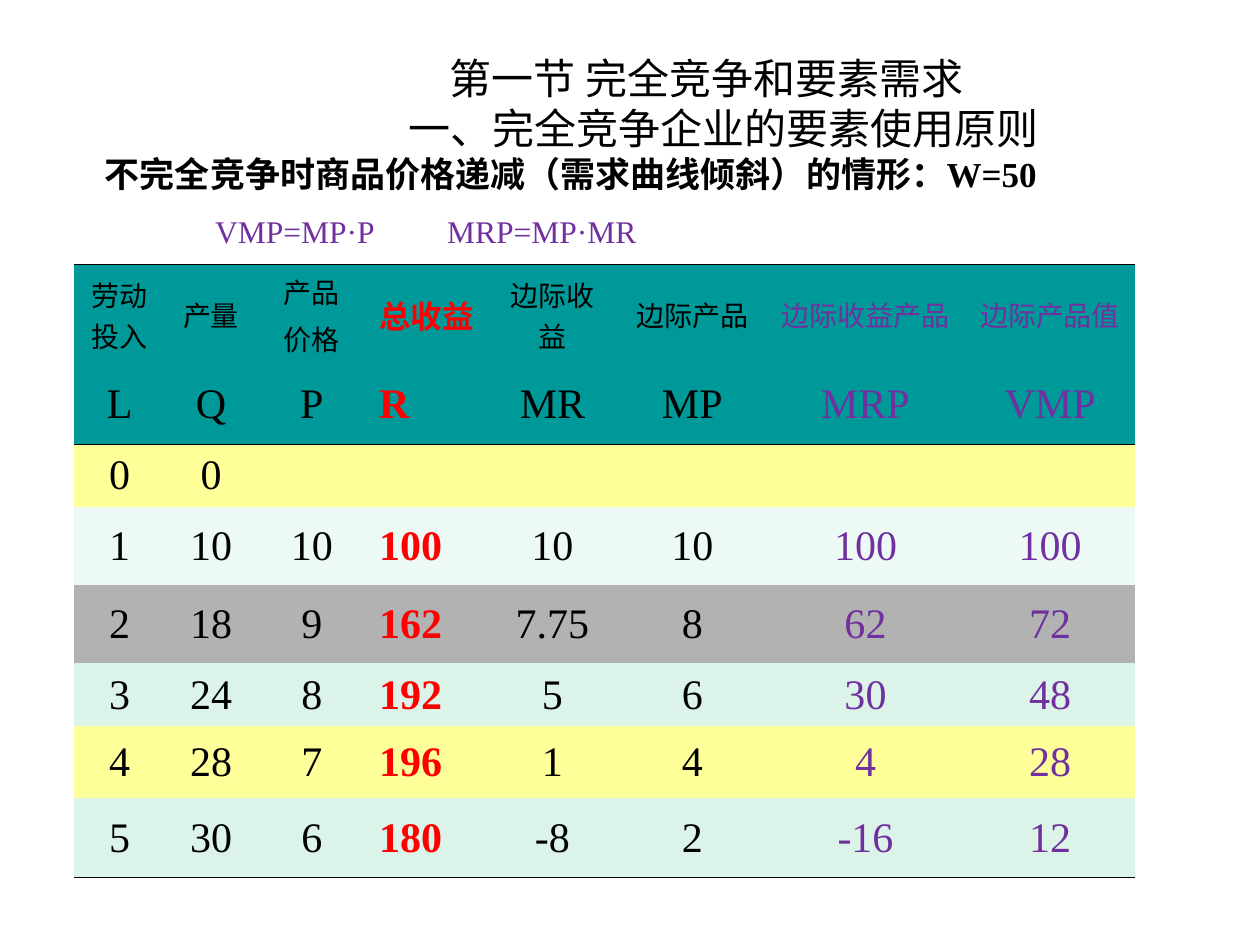
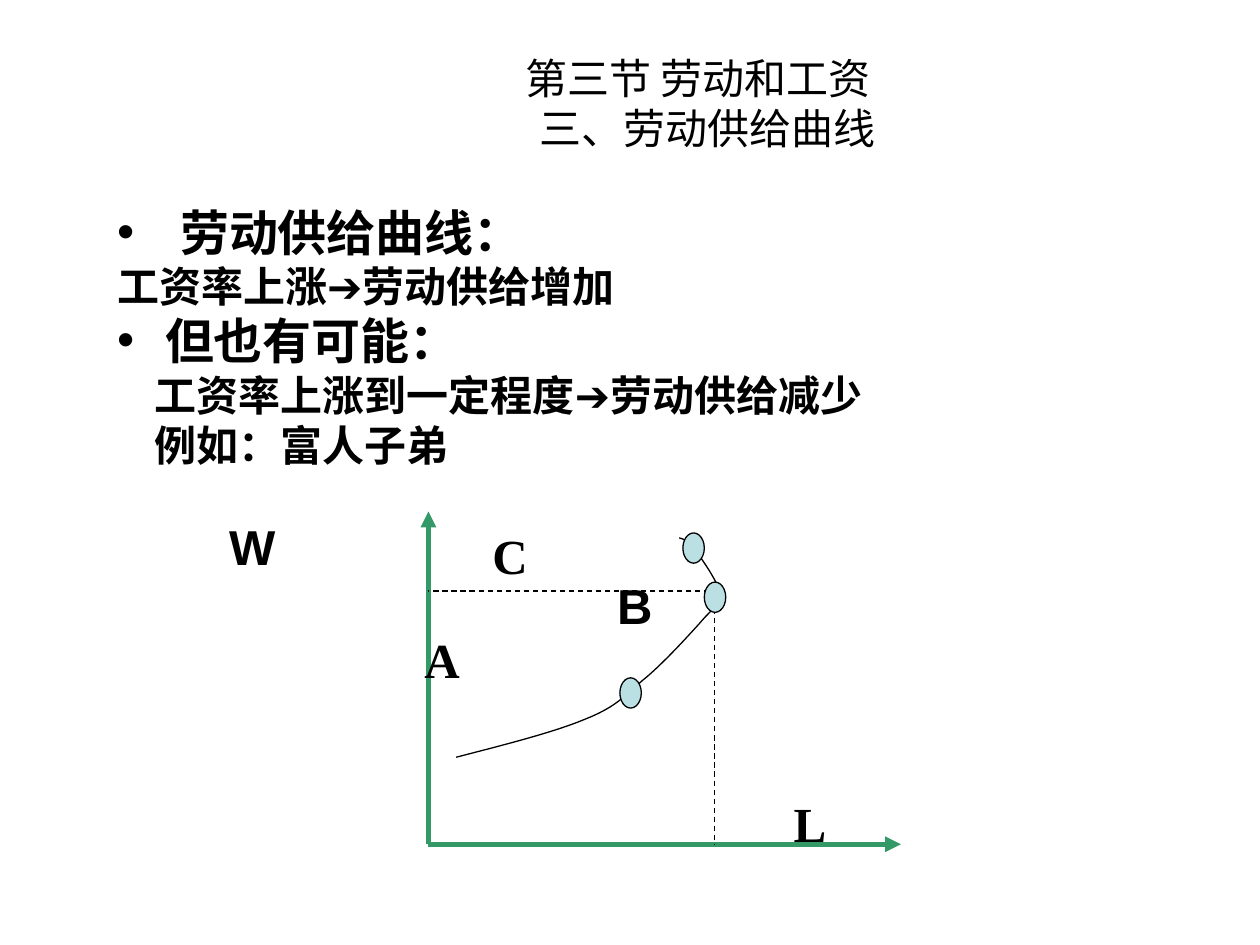
from lxml import etree
from pptx import Presentation
from pptx import util as u
from pptx.dml.color import RGBColor
from pptx.enum import dml, shapes, text
from pptx.oxml.ns import qn

COLUMNS, ROWS = 100, 75
CELL = u.Inches(10) // COLUMNS

BLACK = RGBColor(0x00, 0x00, 0x00)
RED = RGBColor(0xFF, 0x00, 0x00)
PURPLE = RGBColor(0x70, 0x30, 0xA0)
TEAL = RGBColor(0x00, 0x99, 0x99)
YELLOW = RGBColor(0xFF, 0xFF, 0x99)
PALE_MINT = RGBColor(0xED, 0xF9, 0xF4)
MINT = RGBColor(0xDC, 0xF3, 0xE9)
GRAY = RGBColor(0xB2, 0xB2, 0xB2)
GREEN = RGBColor(0x33, 0x99, 0x66)
LIGHT_BLUE = RGBColor(0xBB, 0xE0, 0xE3)

SANS, SERIF, CHINESE = "Arial", "Times New Roman", "Noto Sans CJK SC"
PLAIN_TABLE = "{2D5ABB26-0587-4C30-8999-92F81FD0307C}"
LEFT, CENTER = text.PP_ALIGN.LEFT, text.PP_ALIGN.CENTER

REVENUE_COLUMN = 3
COLUMN_WIDTHS = (7.2, 7.3, 8.7, 9.5, 10.5, 11.7, 15.8, 13.5)
COLUMN_COLORS = [BLACK] * 3 + [RED] + [BLACK] * 2 + [PURPLE] * 2
ROW_HEIGHTS = (6.9, 6.3, 5, 6.2, 6.2, 5, 5.7, 6.3)
ROW_FILLS = (TEAL, TEAL, YELLOW, PALE_MINT, GRAY, MINT, YELLOW, MINT)
ROW_RULES = {0: ("a:lnT", 0.45), 1: ("a:lnB", 0.45), 7: ("a:lnB", 1.08)}
REVENUE_ROWS = (
    ("劳动投入", "产量", "产品\n价格", "总收益", "边际收益", "边际产品", "边际收益产品", "边际产品值"),
    ("L", "Q", "P", "R", "MR", "MP", "MRP", "VMP"),
    ("0", "0", "", "", "", "", "", ""),
    ("1", "10", "10", "100", "10", "10", "100", "100"),
    ("2", "18", "9", "162", "7.75", "8", "62", "72"),
    ("3", "24", "8", "192", "5", "6", "30", "48"),
    ("4", "28", "7", "196", "1", "4", "4", "28"),
    ("5", "30", "6", "180", "-8", "2", "-16", "12"),
)

SUPPLY_POINTS = (
    ("劳动供给曲线：", 28, 5, True),
    ("工资率上涨➔劳动供给增加", 24, 0, False),
    ("但也有可能：", 28, 3.8, True),
    ("工资率上涨到一定程度➔劳动供给减少", 24, 3, False),
    ("例如：富人子弟", 24, 3, False),
)
SUPPLY_START = (36.2, 60.1)
SUPPLY_BEZIERS = (
    ((40.1, 59.1), (44, 58.1), (46.4, 57.1)),
    ((48.9, 56.1), (49.5, 55.3), (51, 54)),
    ((52.5, 52.8), (54.5, 50.6), (55.5, 49.5)),
    ((56.5, 48.3), (57.1, 48.1), (57.1, 47.1)),
    ((57, 46.1), (55.6, 44.3), (55.1, 43.5)),
    ((54.6, 42.8), (53.9, 42.7), (53.9, 42.7)),
)
CURVE_MARKS = ((49.2, 53.8), (55.9, 46.2), (54.2, 42.3))
CURVE_LABELS = (
    ("W", 17.2, 39.1, SANS), ("L", 62, 61.1, SERIF), ("B", 48, 43.8, SANS),
    ("A", 32.7, 48.1, SERIF), ("C", 38.1, 39.8, SERIF),
)


def grid(*cells):
    """Turn grid cells into slide lengths."""
    return [u.Emu(round(cell * CELL)) for cell in cells]


def place(shape, *cells):
    """Move a shape to left, top, width and height on the grid."""
    shape.left, shape.top, shape.width, shape.height = grid(*cells)


def style_para(para, size, font=SERIF, color=BLACK, bold=False, align=LEFT):
    """Format every run of a paragraph."""
    para.alignment = align
    for span in para.runs:
        span.font.size = u.Pt(size)
        span.font.name = font
        span.font.bold = bold
        span.font.color.rgb = color
        east_asian = etree.SubElement(span.font._element, qn("a:ea"))
        east_asian.set("typeface", CHINESE)


def set_indent(para, cells, bullet=False):
    """Indent a paragraph, hanging its bullet if it has one."""
    props = para._p.get_or_add_pPr()
    margin, = grid(cells)
    props.set("marL", str(margin))
    props.set("indent", str(-margin if bullet else 0))
    if bullet:
        etree.SubElement(props, qn("a:buChar")).set("char", "•")
    else:
        etree.SubElement(props, qn("a:buNone"))


def fill_placeholder(box, items, font, bold):
    """Write (wording, size, indent, bullet) items into a placeholder."""
    frame = box.text_frame
    frame.auto_size = text.MSO_AUTO_SIZE.NONE
    frame.text = "\n".join(item[0] for item in items)
    for para, (_, size, indent, bullet) in zip(frame.paragraphs, items):
        para.space_before = u.Pt(0)
        para.line_spacing = u.Pt(round(size * 1.19, 1))
        style_para(para, size, font, bold=bold)
        set_indent(para, indent, bullet)


def add_page(deck, layout, *title_lines):
    """Add a page with the shared two-line title."""
    page = deck.slides.add_slide(deck.slide_layouts[layout])
    place(page.shapes.title, 5, 3.5, 90, 9.4)
    items = [(line, 24, indent, False) for line, indent in title_lines]
    fill_placeholder(page.shapes.title, items, CHINESE, False)
    return page


def add_label(page, wording, area, size, spacing=1.0, **style):
    """Add a one-line text box."""
    box = page.shapes.add_textbox(*grid(*area))
    box.text_frame.word_wrap = True
    para = box.text_frame.paragraphs[0]
    para.text = wording
    para.line_spacing = spacing
    style_para(para, size, **style)


def add_rule(cell, tag, points):
    """Draw a black rule on one side of a table cell."""
    rule = etree.Element(qn(tag), w=str(u.Pt(points)))
    fill = etree.SubElement(rule, qn("a:solidFill"))
    etree.SubElement(fill, qn("a:srgbClr")).set("val", str(BLACK))
    cell._tc.get_or_add_tcPr().insert(0, rule)


def fill_cell(cell, wording, row, column):
    """Write and format one cell of the revenue table."""
    revenue = column == REVENUE_COLUMN
    size = 24 if row else 18 if revenue else 16
    cell.text = wording
    cell.vertical_anchor = text.MSO_ANCHOR.MIDDLE
    cell.fill.solid()
    cell.fill.fore_color.rgb = ROW_FILLS[row]
    for para in cell.text_frame.paragraphs:
        para.space_before = u.Pt(0 if revenue else 6 if row else 4)
        style_para(para, size, color=COLUMN_COLORS[column], bold=revenue,
                   align=LEFT if revenue else CENTER)
    if row in ROW_RULES:
        add_rule(cell, *ROW_RULES[row])


def add_revenue_table(page):
    """Add the table of output, revenue and marginal values."""
    area = grid(5.9, 21, sum(COLUMN_WIDTHS), sum(ROW_HEIGHTS))
    table = page.shapes.add_table(len(ROW_HEIGHTS), len(COLUMN_WIDTHS), *area).table
    table.first_row = table.horz_banding = False
    table._tbl.tblPr.find(qn("a:tableStyleId")).text = PLAIN_TABLE
    for column, width in zip(table.columns, grid(*COLUMN_WIDTHS)):
        column.width = width
    for row, height in zip(table.rows, grid(*ROW_HEIGHTS)):
        row.height = height
    for row, wordings in enumerate(REVENUE_ROWS):
        for column, wording in enumerate(wordings):
            fill_cell(table.cell(row, column), wording, row, column)


def add_line(page, ends, color, points, arrow=False):
    """Add an axis with an arrowhead, or a dashed guide."""
    line = page.shapes.add_connector(shapes.MSO_CONNECTOR.STRAIGHT, *grid(*ends))
    line.line.color.rgb = color
    line.line.width = u.Pt(points)
    if arrow:
        etree.SubElement(line.line._get_or_add_ln(), qn("a:tailEnd")).set("type", "triangle")
    else:
        line.line.dash_style = dml.MSO_LINE.DASH
    etree.SubElement(line._element.spPr, qn("a:effectLst"))


def outline(shape):
    """Give a shape a thin black line and no shadow."""
    shape.shadow.inherit = False
    shape.line.color.rgb = BLACK
    shape.line.width = u.Pt(0.75)


def bezier_points(start, beziers, steps=12):
    """Yield points along a chain of cubic Bezier pieces."""
    for first, second, end in beziers:
        for step in range(1, steps + 1):
            t = step / steps
            weights = ((1 - t) ** 3, 3 * t * (1 - t) ** 2, 3 * t * t * (1 - t), t ** 3)
            knots = (start, first, second, end)
            yield grid(*(sum(w * knot[axis] for w, knot in zip(weights, knots))
                         for axis in (0, 1)))
        start = end


def add_supply_curve(page):
    """Draw the backward-bending labour supply curve on its axes."""
    add_line(page, (34, 67, 34, 40.6), GREEN, 3, arrow=True)
    add_line(page, (34, 67, 71.5, 67), GREEN, 3, arrow=True)
    add_line(page, (56.3, 46.9, 34, 46.9), BLACK, 0.75)
    add_line(page, (56.7, 46.9, 56.7, 67), BLACK, 0.75)
    builder = page.shapes.build_freeform(*grid(*SUPPLY_START))
    builder.add_line_segments(bezier_points(SUPPLY_START, SUPPLY_BEZIERS), close=False)
    curve = builder.convert_to_shape()
    curve.fill.background()
    outline(curve)
    for wording, left, top, font in CURVE_LABELS:
        add_label(page, wording, (left, top, 24.8, 7.1), 28, 1.3, font=font, bold=True)
    for left, top in CURVE_MARKS:
        mark = page.shapes.add_shape(shapes.MSO_SHAPE.OVAL, *grid(left, top, 1.7, 2.4))
        mark.fill.solid()
        mark.fill.fore_color.rgb = LIGHT_BLUE
        outline(mark)


def add_factor_page(deck):
    """Build the page on marginal revenue product."""
    page = add_page(deck, 5, ("第一节 完全竞争和要素需求", 29.7),
                    ("一、完全竞争企业的要素使用原则", 26.4))
    add_revenue_table(page)
    add_label(page, "MRP=MP·MR", (34.5, 16.3, 37, 4), 18, color=PURPLE)
    add_label(page, "VMP=MP·P", (16.1, 16.3, 16.5, 4), 18, color=PURPLE)
    add_label(page, "不完全竞争时商品价格递减（需求曲线倾斜）的情形：W=50",
              (6.7, 11.6, 77.2, 4.4), 20, bold=True, align=CENTER)


def add_supply_page(deck):
    """Build the page on the labour supply curve."""
    page = add_page(deck, 1, ("第三节 劳动和工资", 35.7), ("三、劳动供给曲线", 36.8))
    add_supply_curve(page)
    body = page.placeholders[1]
    place(body, 8.3, 15.6, 78, 22.4)
    fill_placeholder(body, SUPPLY_POINTS, SANS, True)


def main():
    """Build and save the deck."""
    deck = Presentation()
    deck.slide_width, deck.slide_height = grid(COLUMNS, ROWS)
    add_factor_page(deck)
    add_supply_page(deck)
    deck.save("out.pptx")


if __name__ == "__main__":
    main()
